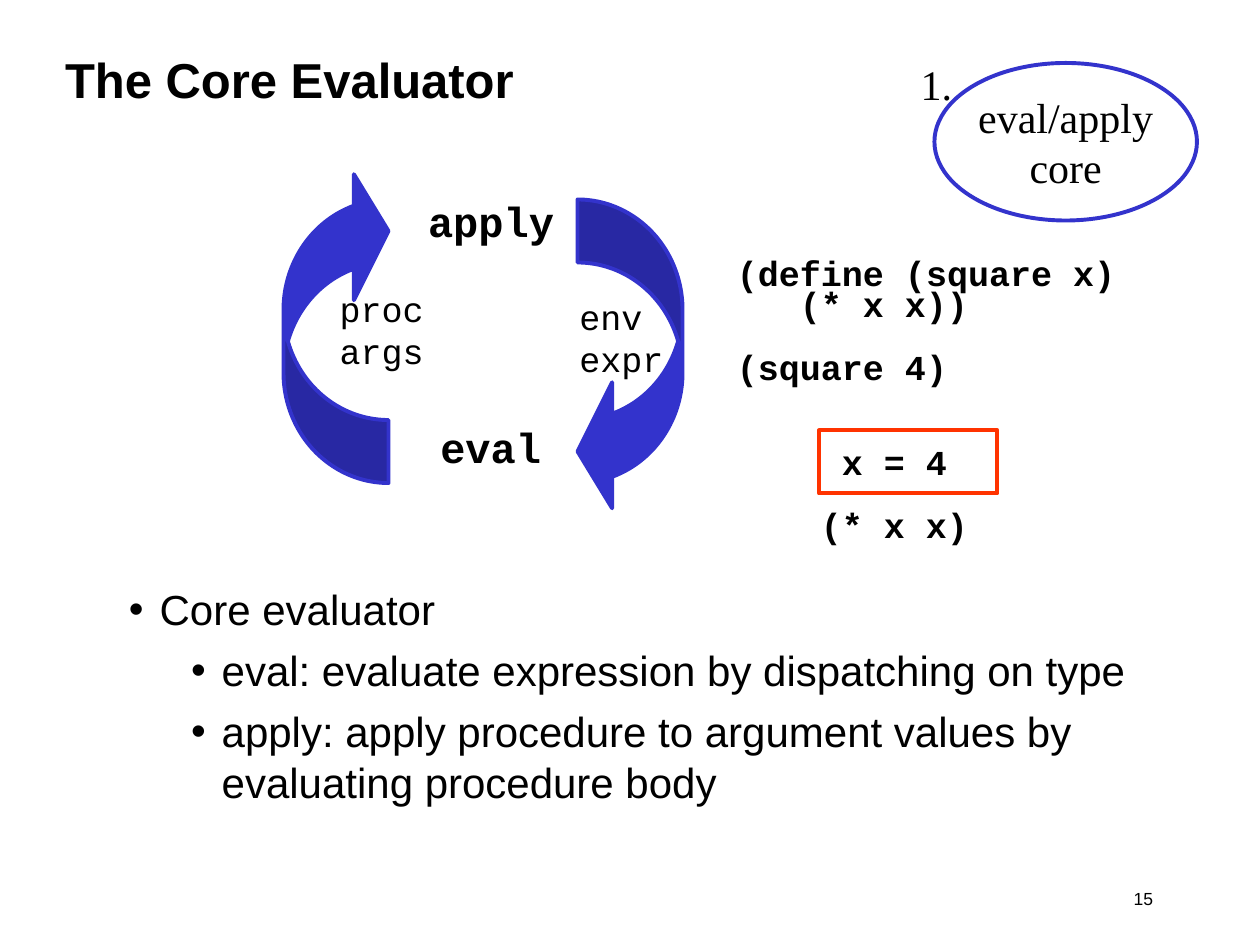
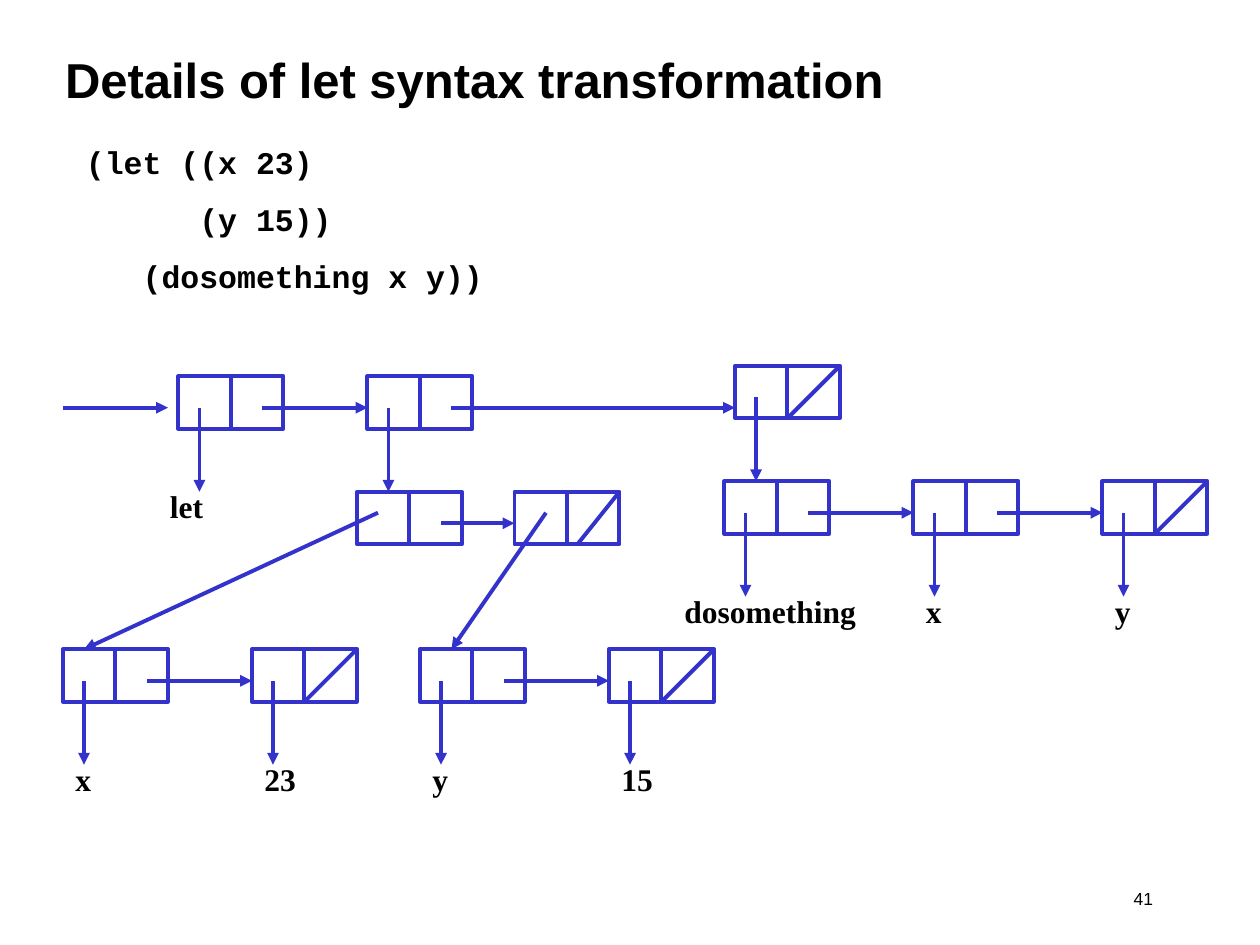
from pptx import Presentation
from pptx.dml.color import RGBColor
from pptx.enum.shapes import MSO_CONNECTOR as Line, MSO_SHAPE as Preset
from pptx.enum.text import MSO_ANCHOR as Anchor, MSO_AUTO_SIZE as AutoSize, PP_ALIGN as Align
from pptx.oxml.ns import qn
from pptx.util import Pt
from lxml.etree import SubElement

BLACK = RGBColor(0x00, 0x00, 0x00)
BLUE = RGBColor(0x33, 0x33, 0xCC)
RED = RGBColor(0xFF, 0x33, 0x00)
SANS, MONO, SERIF = "Arial", "Courier New", "Times New Roman"
STROKE = Pt(2.25)


def write(frame, lines, font=SANS, size=24, bold=False, align=Align.LEFT,
          anchor=Anchor.TOP, leading=1.2, wrap=True, hang=0):
    frame.word_wrap = wrap
    frame.auto_size = AutoSize.NONE
    frame.vertical_anchor = anchor
    for index, (words, indent, before) in enumerate(lines):
        paragraph = frame.paragraphs[0] if index == 0 else frame.add_paragraph()
        paragraph.alignment = align
        paragraph.line_spacing = Pt(round(size * leading, 1))
        paragraph.space_before = Pt(before)
        properties = paragraph._p.get_or_add_pPr()
        properties.set("marL", str(Pt(indent)))
        properties.set("indent", str(-Pt(hang)))
        if hang:
            SubElement(properties, qn("a:buChar")).set("char", "•")
        run = paragraph.add_run()
        run.text = words
        run.font.name = font
        run.font.size = Pt(size)
        run.font.bold = bold
        run.font.color.rgb = BLACK


def draw_line(slide, x1, y1, x2, y2, arrow=True):
    line = slide.shapes.add_connector(Line.STRAIGHT, Pt(x1), Pt(y1), Pt(x2), Pt(y2))
    line.line.color.rgb = BLUE
    line.line.width = STROKE
    properties = line._element.spPr
    if arrow:
        SubElement(properties.find(qn("a:ln")), qn("a:tailEnd")).set("type", "triangle")
    SubElement(properties, qn("a:effectLst"))


deck = Presentation()
deck.slide_width, deck.slide_height = Pt(720), Pt(540)
evaluator = deck.slides.add_slide(deck.slide_layouts[1])
let_syntax = deck.slides.add_slide(deck.slide_layouts[5])

for slide, heading, number in [
    (evaluator, "The Core Evaluator", "15"),
    (let_syntax, "Details of let syntax transformation", "41"),
]:
    title = slide.shapes.title
    title.left, title.top, title.width, title.height = Pt(30), Pt(12), Pt(612), Pt(66)
    write(title.text_frame, [(heading, 0, 0)], size=28, bold=True, anchor=Anchor.MIDDLE)
    page = slide.shapes.add_textbox(Pt(492), Pt(504), Pt(174), Pt(24))
    write(page.text_frame, [(number, 0, 0)], size=10, align=Align.RIGHT)

roles = evaluator.placeholders[1]
roles.left, roles.top, roles.width, roles.height = Pt(66), Pt(330), Pt(612), Pt(135)
write(roles.text_frame, [
    ("Core evaluator", 18, 6),
    ("eval: evaluate expression by dispatching on type", 53.5, 6),
    ("apply: apply procedure to argument values by evaluating procedure body", 53.5, 6),
], hang=17.5)

for preset, x, y, width, height, color, rotation, words in [
    (Preset.OVAL, 534, 36, 150, 90, BLUE, 0, ["eval/apply", "core"]),
    (Preset.CURVED_LEFT_ARROW, 162, 96, 60, 180, BLUE, 180, []),
    (Preset.CURVED_LEFT_ARROW, 330, 114, 60, 180, BLUE, 0, []),
    (Preset.RECTANGLE, 468, 246, 102, 36, RED, 0, []),
]:
    shape = evaluator.shapes.add_shape(preset, Pt(x), Pt(y), Pt(width), Pt(height))
    shape.shadow.inherit = False
    shape.rotation = rotation
    shape.line.color.rgb = color
    shape.line.width = STROKE
    if preset == Preset.CURVED_LEFT_ARROW:
        shape.fill.solid()
        shape.fill.fore_color.rgb = BLUE
        for index, ratio in enumerate([0.6, 1.2, 0.33]):
            shape.adjustments[index] = ratio
    else:
        shape.fill.background()
    if words:
        write(shape.text_frame, [(word, 0, 0) for word in words], font=SERIF,
              align=Align.CENTER, anchor=Anchor.MIDDLE, wrap=False)

for x, y, width, height, words, font, size, bold in [
    (519, 30, 33, 36, ["1."], SERIF, 24, False),
    (237.5, 108, 90, 36, ["apply"], MONO, 24, True),
    (244.5, 237.5, 76, 36, ["eval"], MONO, 24, True),
    (187, 160.5, 68, 55, ["proc", "args"], MONO, 20, False),
    (324, 165.5, 68, 55, ["env", "expr"], MONO, 20, False),
]:
    label = evaluator.shapes.add_textbox(Pt(x), Pt(y), Pt(width), Pt(height))
    write(label.text_frame, [(word, 0, 0) for word in words],
          font=font, size=size, bold=bold, wrap=False)

square = evaluator.shapes.add_textbox(Pt(414), Pt(146), Pt(294), Pt(169))
write(square.text_frame, [
    ("(define (square x)", 0, 0),
    ("(* x x))", 36, 0),
    ("(square 4)", 0, 18),
    ("x = 4", 60, 36),
    ("(* x x)", 48, 18),
], font=MONO, size=20, bold=True, leading=0.9)

let_code = let_syntax.shapes.add_textbox(Pt(42), Pt(78), Pt(594), Pt(94))
write(let_code.text_frame, [
    ("(let ((x 23)", 0, 11.2),
    ("(y 15))", 64.8, 11.2),
    ("(dosomething x y))", 32.4, 11.2),
], font=MONO, size=18, bold=True)

CELL, POINTER_X, POINTER_Y, DROP, LABEL_Y = 30, 12, 18, 66, 60
for x, y, next_x, drops, symbol, shift in [
    (102, 215, 210, True, "let", -12),
    (210, 215, 420, True, "", 0),
    (420, 209, None, True, "", 0),
    (414, 275, 522, True, "dosomething", -30),
    (522, 275, 630, True, "x", 0),
    (630, 275, None, True, "y", 0),
    (204, 281, 294, False, "", 0),
    (294, 281, None, False, "", 6),
    (36, 371, 144, True, "x", 0),
    (144, 371, None, True, "23", 0),
    (240, 371, 348, True, "y", 0),
    (348, 371, None, True, "15", 0),
]:
    for half_x in (x, x + CELL):
        half = let_syntax.shapes.add_shape(Preset.RECTANGLE, Pt(half_x), Pt(y), Pt(CELL), Pt(CELL))
        half.shadow.inherit = False
        half.fill.background()
        half.line.color.rgb = BLUE
        half.line.width = STROKE
    if next_x:
        draw_line(let_syntax, x + CELL + POINTER_Y, y + POINTER_Y, next_x, y + POINTER_Y)
    else:
        draw_line(let_syntax, x + 2 * CELL, y, x + CELL + shift, y + CELL, arrow=False)
    if drops:
        draw_line(let_syntax, x + POINTER_X, y + POINTER_Y, x + POINTER_X, y + DROP)
    if symbol:
        label = let_syntax.shapes.add_textbox(Pt(x + shift), Pt(y + LABEL_Y), Pt(114), Pt(29))
        write(label.text_frame, [(symbol, 0, 11.2)], font=SERIF, size=18, bold=True)

for ends in [(36, 233, 96, 233), (312, 293, 258, 371), (216, 293, 48, 371)]:
    draw_line(let_syntax, *ends)

deck.save("out.pptx")
